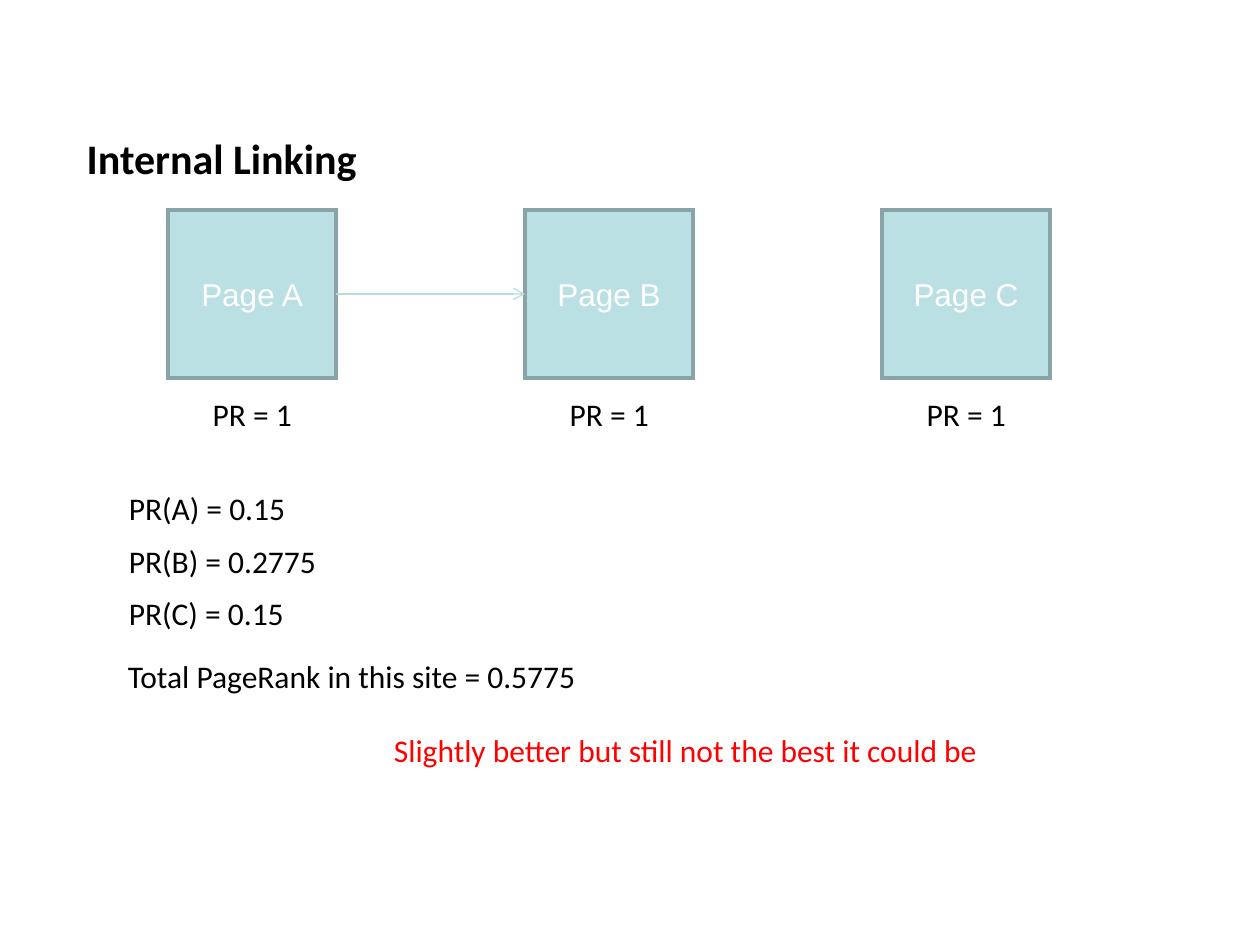
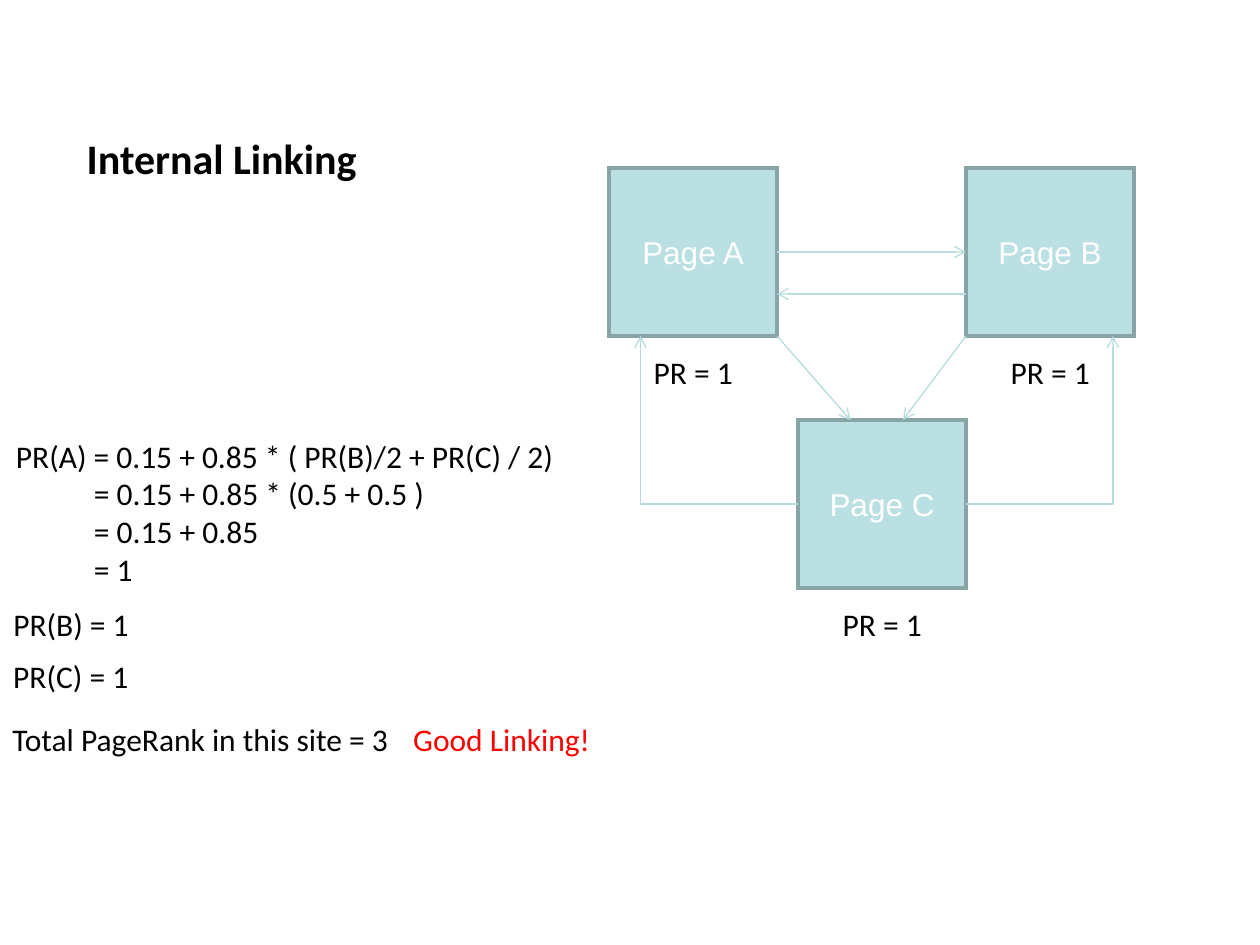
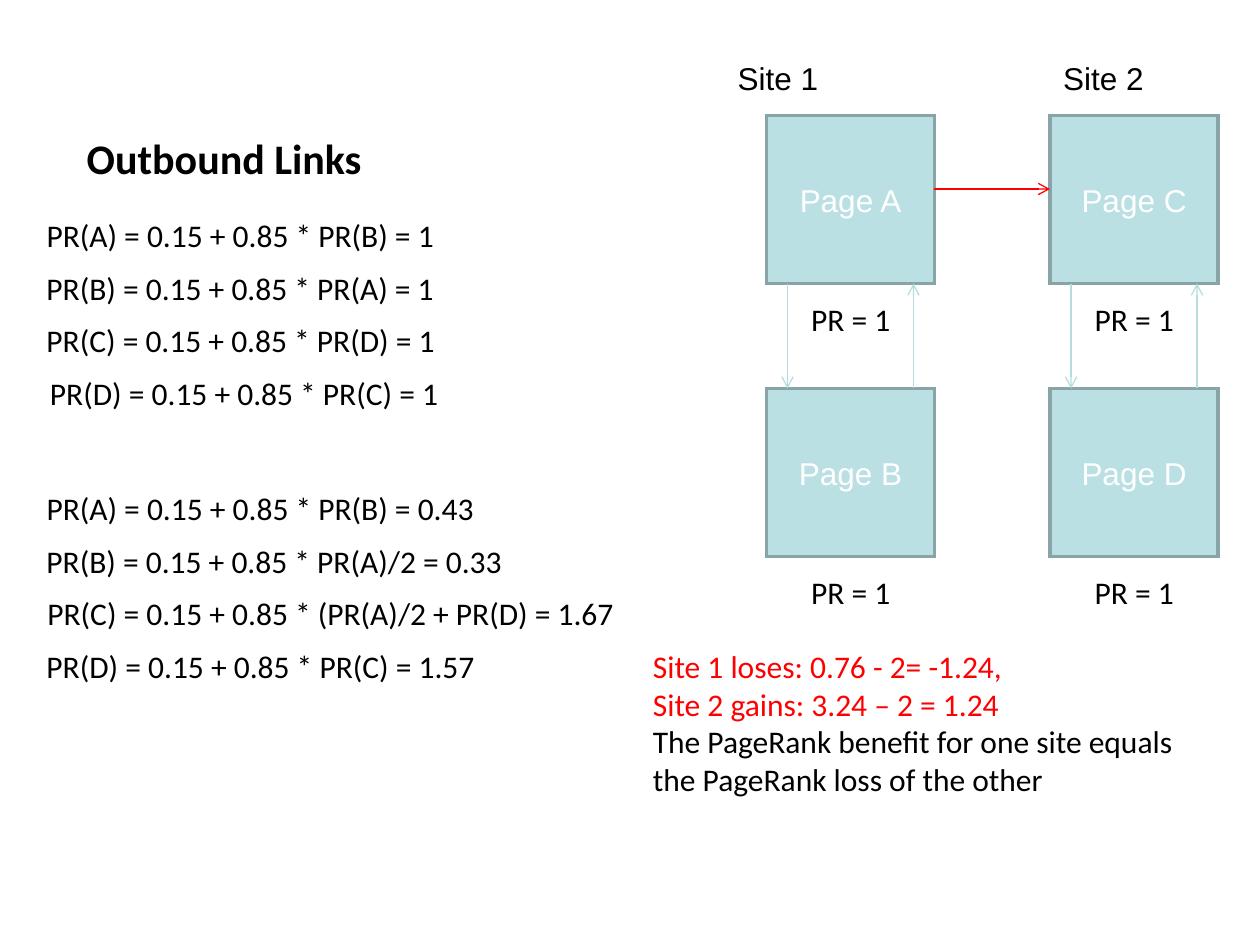
from lxml import etree
from pptx import Presentation
from pptx.dml.color import RGBColor
from pptx.enum.shapes import MSO_CONNECTOR, MSO_SHAPE
from pptx.enum.text import MSO_ANCHOR, MSO_AUTO_SIZE, PP_ALIGN
from pptx.oxml.ns import qn
from pptx.util import Pt

RECTANGLE = MSO_SHAPE.RECTANGLE
STRAIGHT, ELBOW = MSO_CONNECTOR.STRAIGHT, MSO_CONNECTOR.ELBOW
CENTER, MIDDLE = PP_ALIGN.CENTER, MSO_ANCHOR.MIDDLE
FIT_SHAPE = MSO_AUTO_SIZE.SHAPE_TO_FIT_TEXT

BLACK = RGBColor(0x00, 0x00, 0x00)
WHITE = RGBColor(0xFF, 0xFF, 0xFF)
RED = RGBColor(0xFF, 0x00, 0x00)
PAGE_FILL = RGBColor(0xBB, 0xE0, 0xE3)
PAGE_BORDER = RGBColor(0x89, 0xA4, 0xA7)
LINK_COLOR = RGBColor(0xB6, 0xDC, 0xDF)

BODY_FONT, PAGE_FONT = "Calibri", "Arial"
BODY_SIZE, TITLE_SIZE = 18, 24
TEXT_HEIGHT, LINE_HEIGHT, ROW_STEP = 29, 21.6, 30
PAGE_SIZE, HALF = 96, 48
RANK_OFFSET, RANK_WIDTH = (18.4, 102), 60
EQUATION_INDENT = 44.6

# Content: all lengths in points
# pages: name -> left, top
# links: page, offset in it, page, offset in it, connector, colour
# columns: top, then rows of left, width, text, one every ROW_STEP
# notes: left, top, width, lines of text and colour, font, indent after the first line
SLIDES = [
    {
        "title": ("Internal Linking", 169),
        "pages": {"A": (96, 120), "B": (300, 120), "C": (504, 120)},
        "links": [("A", (PAGE_SIZE, HALF), "B", (0, HALF), STRAIGHT, LINK_COLOR)],
        "columns": [
            (276, [(66.5, 104, "PR(A) = 0.15"),
                   (66.5, 126, "PR(B) = 0.2775"),
                   (66.5, 104, "PR(C) = 0.15")]),
        ],
        "notes": [
            (66, 372, 274, [("Total PageRank in this site = 0.5775", BLACK)], BODY_FONT, 0),
            (218, 414, 349,
             [("Slightly better but still not the best it could be", RED)], BODY_FONT, 0),
        ],
    },
    {
        "title": ("Internal Linking", 169),
        "pages": {"A": (348, 96), "B": (552, 96), "C": (456, 240)},
        "links": [
            ("A", (PAGE_SIZE, HALF), "B", (0, HALF), STRAIGHT, LINK_COLOR),
            ("B", (0, 72), "A", (PAGE_SIZE, 72), STRAIGHT, LINK_COLOR),
            ("A", (PAGE_SIZE, PAGE_SIZE), "C", (30, 0), STRAIGHT, LINK_COLOR),
            ("B", (0, PAGE_SIZE), "C", (60, 0), STRAIGHT, LINK_COLOR),
            ("C", (0, HALF), "A", (18, PAGE_SIZE), ELBOW, LINK_COLOR),
            ("C", (PAGE_SIZE, HALF), "B", (84, PAGE_SIZE), ELBOW, LINK_COLOR),
        ],
        "columns": [(342, [(0.5, 84, "PR(B) = 1"), (0.5, 81, "PR(C) = 1")])],
        "notes": [
            (2, 246, 323,
             [("PR(A) = 0.15 + 0.85 * ( PR(B)/2 + PR(C) / 2)", BLACK),
              ("= 0.15 + 0.85 * (0.5 + 0.5 )", BLACK),
              ("= 0.15 + 0.85", BLACK),
              ("= 1", BLACK)], BODY_FONT, EQUATION_INDENT),
            (0, 408, 233, [("Total PageRank in this site = 3", BLACK)], BODY_FONT, 0),
            (229, 408, 118, [("Good Linking!", RED)], BODY_FONT, 0),
        ],
    },
    {
        "title": ("Outbound Links", 172),
        "pages": {"A": (438, 66), "B": (438, 222), "C": (600, 66), "D": (600, 222)},
        "links": [
            ("A", (12, PAGE_SIZE), "B", (12, 0), STRAIGHT, LINK_COLOR),
            ("B", (84, 0), "A", (84, PAGE_SIZE), STRAIGHT, LINK_COLOR),
            ("C", (12, PAGE_SIZE), "D", (12, 0), STRAIGHT, LINK_COLOR),
            ("D", (84, 0), "C", (84, PAGE_SIZE), STRAIGHT, LINK_COLOR),
            ("A", (PAGE_SIZE, 42), "C", (0, 42), STRAIGHT, RED),
        ],
        "columns": [
            (120, [(19.5, 240, "PR(A) = 0.15 + 0.85 * PR(B) = 1"),
                   (19.5, 238, "PR(B) = 0.15 + 0.85 * PR(A) = 1"),
                   (19.5, 238, "PR(C) = 0.15 + 0.85 * PR(D) = 1"),
                   (21.5, 238, "PR(D) = 0.15 + 0.85 * PR(C) = 1")]),
            (276, [(19.5, 264, "PR(A) = 0.15 + 0.85 * PR(B) = 0.43"),
                   (19.5, 277, "PR(B) = 0.15 + 0.85 * PR(A)/2 = 0.33"),
                   (20, 340, "PR(C) = 0.15 + 0.85 * (PR(A)/2 + PR(D) = 1.67"),
                   (19.5, 261, "PR(D) = 0.15 + 0.85 * PR(C) = 1.57")]),
        ],
        "notes": [
            (366, 366, 324,
             [("Site 1 loses: 0.76 - 2= -1.24,", RED),
              ("Site 2 gains: 3.24 – 2 = 1.24", RED),
              ("The PageRank benefit for one site equals the PageRank loss of the other", BLACK)],
             BODY_FONT, 0),
            (414.5, 30, 61, [("Site 1", BLACK)], PAGE_FONT, 0),
            (600.5, 30, 61, [("Site 2", BLACK)], PAGE_FONT, 0),
        ],
    },
]


def format_paragraph(paragraph, text, color, font=BODY_FONT, size=BODY_SIZE, bold=False):
    paragraph.text = text
    for run in paragraph.runs:
        run.font.name = font
        run.font.size = Pt(size)
        run.font.bold = bold
        run.font.color.rgb = color


def add_text(slide, left, top, width, lines, font=BODY_FONT, indent=0,
             size=BODY_SIZE, bold=False):
    height = TEXT_HEIGHT * size / BODY_SIZE + LINE_HEIGHT * (len(lines) - 1)
    shape = slide.shapes.add_textbox(Pt(left), Pt(top), Pt(width), Pt(height))
    text_frame = shape.text_frame
    text_frame.auto_size = FIT_SHAPE
    text_frame.word_wrap = len(lines) > 1
    for index, (text, color) in enumerate(lines):
        paragraph = text_frame.add_paragraph() if index else text_frame.paragraphs[0]
        format_paragraph(paragraph, text, color, font, size, bold)
        if index and indent:
            paragraph._p.get_or_add_pPr().set("marL", str(Pt(indent)))


def add_page(slide, name, left, top):
    shape = slide.shapes.add_shape(RECTANGLE, Pt(left), Pt(top), Pt(PAGE_SIZE), Pt(PAGE_SIZE))
    shape.shadow.inherit = False
    shape.fill.solid()
    shape.fill.fore_color.rgb = PAGE_FILL
    shape.line.color.rgb = PAGE_BORDER
    shape.line.width = Pt(2)
    # Square corners
    etree.SubElement(shape._element.spPr.find(qn("a:ln")), qn("a:miter"), lim="800000")
    shape.text_frame.vertical_anchor = MIDDLE
    paragraph = shape.text_frame.paragraphs[0]
    paragraph.alignment = CENTER
    format_paragraph(paragraph, f"Page {name}", WHITE, PAGE_FONT)
    add_text(slide, left + RANK_OFFSET[0], top + RANK_OFFSET[1], RANK_WIDTH, [("PR = 1", BLACK)])


def add_link(slide, start, end, kind, color):
    connector = slide.shapes.add_connector(kind, *map(Pt, start + end))
    connector.line.color.rgb = color
    connector.line.width = Pt(0.75)
    properties = connector._element.spPr
    if kind == ELBOW:  # a single corner
        properties.find(qn("a:prstGeom")).set("prst", "bentConnector2")
    etree.SubElement(properties.find(qn("a:ln")), qn("a:tailEnd"), type="arrow")
    etree.SubElement(properties, qn("a:effectLst"))


def build_slide(presentation, content):
    slide = presentation.slides.add_slide(presentation.slide_layouts[6])
    title, title_width = content["title"]
    add_text(slide, 42.5, 72, title_width, [(title, BLACK)], size=TITLE_SIZE, bold=True)

    # Pages and the links between them
    pages = content["pages"]
    for name, (left, top) in pages.items():
        add_page(slide, name, left, top)
    for source, source_offset, target, target_offset, kind, color in content["links"]:
        start = tuple(map(sum, zip(pages[source], source_offset)))
        end = tuple(map(sum, zip(pages[target], target_offset)))
        add_link(slide, start, end, kind, color)

    # Equations and notes
    for top, rows in content["columns"]:
        for index, (left, width, text) in enumerate(rows):
            add_text(slide, left, top + index * ROW_STEP, width, [(text, BLACK)])
    for note in content["notes"]:
        add_text(slide, *note)


def main():
    presentation = Presentation()
    presentation.slide_width, presentation.slide_height = Pt(720), Pt(540)
    for content in SLIDES:
        build_slide(presentation, content)
    presentation.save("out.pptx")


if __name__ == "__main__":
    main()
